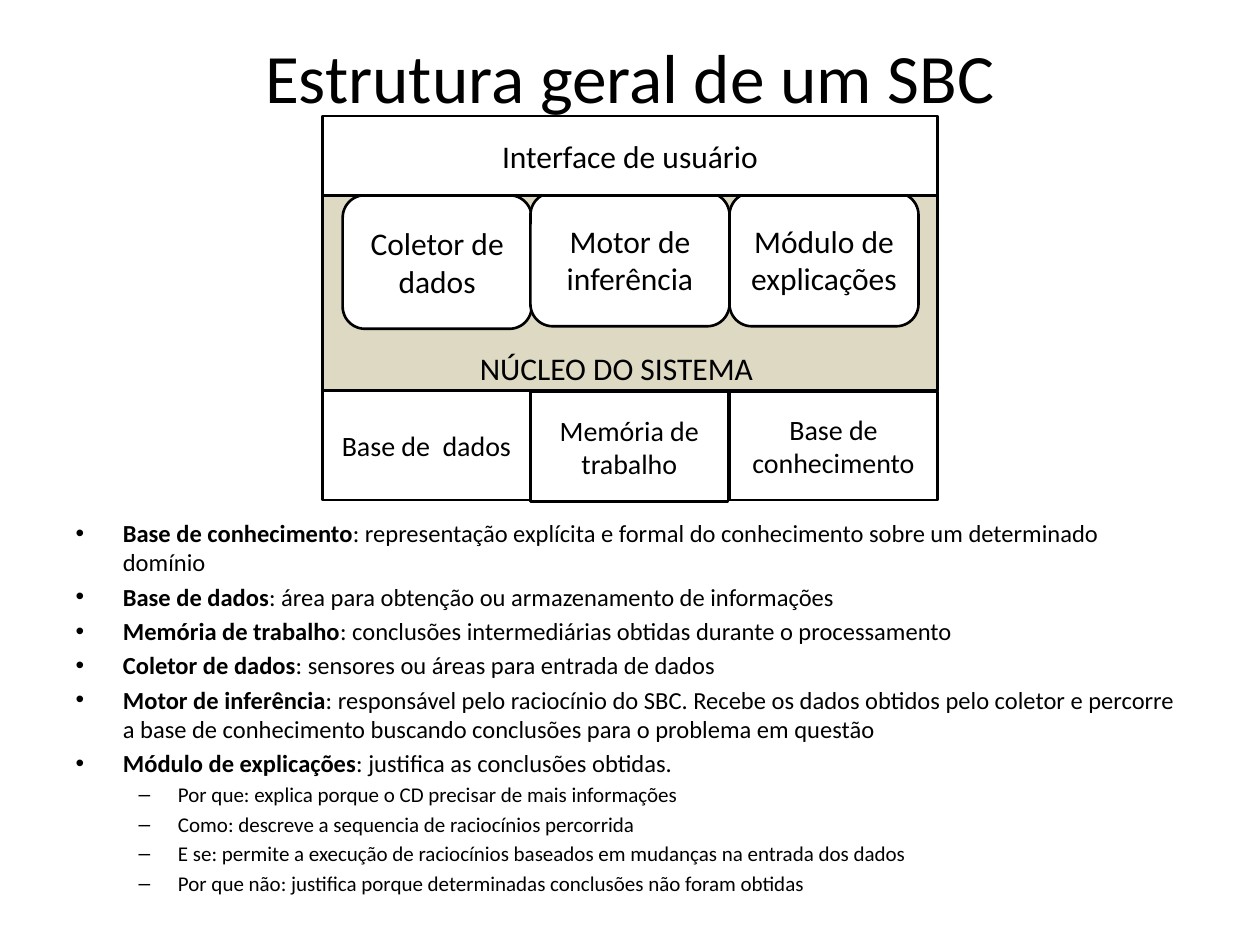
import pptx
import pptx.util
import pptx.dml.color
import pptx.enum.shapes
import pptx.enum.text
from dataclasses import dataclass

Inches, Pt = pptx.util.Inches, pptx.util.Pt
RGB = pptx.dml.color.RGBColor.from_string
SHAPE = pptx.enum.shapes.MSO_SHAPE
ALIGN = pptx.enum.text.PP_ALIGN
ANCHOR = pptx.enum.text.MSO_ANCHOR
AUTO = pptx.enum.text.MSO_AUTO_SIZE


@dataclass(frozen=True)
class Theme:
    font: str = "Calibri"
    ink: str = "000000"
    paper: str = "FFFFFF"
    core: str = "DDD9C3"
    title: float = 39.6
    box: float = 18
    store: float = 16
    bullet: float = 14
    detail: float = 12


theme = Theme()


def style(p, size, align=None):
    p.font.name = theme.font
    p.font.size = Pt(size)
    p.font.color.rgb = RGB(theme.ink)
    p.alignment = align


def add_box(kind, x, y, w, h, fill, text="", size=theme.box):
    sp = s.shapes.add_shape(kind, Inches(x), Inches(y), Inches(w), Inches(h))
    sp.shadow.inherit = False
    sp.fill.solid()
    sp.fill.fore_color.rgb = RGB(fill)
    sp.line.color.rgb = RGB(theme.ink)
    sp.line.width = Pt(1.5)
    if text:
        tf = sp.text_frame
        tf.word_wrap = True
        tf.vertical_anchor = ANCHOR.MIDDLE
        tf.text = text
        style(tf.paragraphs[0], size, ALIGN.CENTER)


prs = pptx.Presentation()
prs.slide_width, prs.slide_height = Inches(10), Inches(7.5)
s = prs.slides.add_slide(prs.slide_layouts[1])

title, body = s.placeholders
title.left, title.top, title.width, title.height = Inches(0.5), Inches(0.3), Inches(9), Inches(0.61)
tf = title.text_frame
tf.auto_size = AUTO.NONE
tf.vertical_anchor = ANCHOR.MIDDLE
tf.text = "Estrutura geral de um SBC"
style(tf.paragraphs[0], theme.title, ALIGN.CENTER)

left, width = 2.56, 4.88
add_box(SHAPE.RECTANGLE, left, 1.53, width, 1.57, theme.core)

modules = [
    ("Coletor de dados", 2.72, 1.55, 1.5),
    ("Motor de inferência", 4.21, 1.53, 1.58),
    ("Módulo de explicações", 5.79, 1.53, 1.5),
]
for text, x, y, w in modules:
    add_box(SHAPE.ROUNDED_RECTANGLE, x, y, w, 1.06, theme.paper, text)

tf = s.shapes.add_textbox(Inches(3.71), Inches(2.72), Inches(2.39), Inches(0.4)).text_frame
tf.word_wrap = False
tf.text = "NÚCLEO DO SISTEMA"
style(tf.paragraphs[0], theme.box)

stores = [
    ("Base de  dados", left, 3.1, 1.65, 0.87),
    ("Memória de trabalho", 4.21, 3.11, 1.57, 0.87),
    ("Base de conhecimento", 5.79, 3.11, 1.65, 0.86),
]
for text, x, y, w, h in stores:
    add_box(SHAPE.RECTANGLE, x, y, w, h, theme.paper, text, theme.store)

add_box(SHAPE.RECTANGLE, left, 0.92, width, 0.63, theme.paper, "Interface de usuário")

definitions = [
    ("Base de conhecimento", ": representação explícita e formal do conhecimento sobre um determinado domínio"),
    ("Base de dados", ": área para obtenção ou armazenamento de informações"),
    ("Memória de trabalho", ": conclusões intermediárias obtidas durante o processamento"),
    ("Coletor de dados", ": sensores ou áreas para entrada de dados"),
    ("Motor de inferência", ": responsável pelo raciocínio do SBC. Recebe os dados obtidos pelo coletor "
     "e percorre a base de conhecimento buscando conclusões para o problema em questão"),
    ("Módulo de explicações", ": justifica as conclusões obtidas."),
]
questions = [
    "Por que: explica porque o CD precisar de mais informações",
    "Como: descreve a sequencia de raciocínios percorrida",
    "E se: permite a execução de raciocínios baseados em mudanças na entrada dos dados",
    "Por que não: justifica porque determinadas conclusões não foram obtidas",
]
body.left, body.top, body.width, body.height = Inches(0.5), Inches(4.06), Inches(9), Inches(2.76)
tf = body.text_frame
tf.auto_size = AUTO.NONE
for i, (term, meaning) in enumerate(definitions):
    p = tf.add_paragraph() if i else tf.paragraphs[0]
    r = p.add_run()
    r.text = term
    r.font.bold = True
    p.add_run().text = meaning
    style(p, theme.bullet)
for text in questions:
    p = tf.add_paragraph()
    p.text = text
    p.level = 1
    style(p, theme.detail)
tf.paragraphs[0].space_before = Pt(0)

prs.save("out.pptx")
